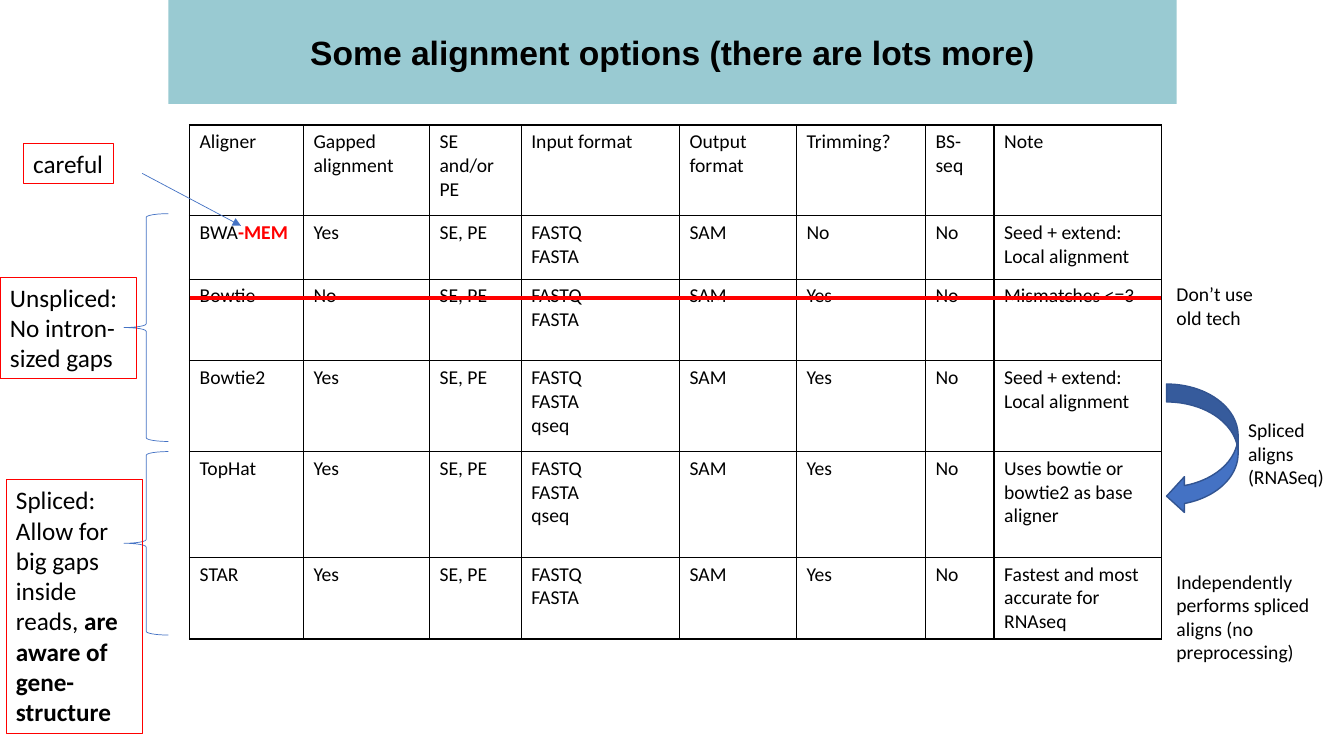
from lxml.etree import SubElement
from pptx import Presentation
from pptx.dml.color import RGBColor
from pptx.enum.shapes import MSO_CONNECTOR, MSO_SHAPE
from pptx.enum.text import MSO_ANCHOR, MSO_AUTO_SIZE, PP_ALIGN
from pptx.oxml.ns import qn
from pptx.util import Inches, Pt

COLORS = {"black": "000000", "red": "FF0000", "blue": "4472C4",
          "dark blue": "325491", "teal": "99CAD2"}

TITLE = "Some alignment options (there are lots more)"

# A text is a string, or a list of (string, format) spans; "\n" starts a paragraph.
ALIGNERS = [
    ["Aligner", "Gapped alignment", "SE and/or PE", "Input format",
     "Output format", "Trimming?", "BS-seq", "Note"],
    [[("BWA", {}), ("-MEM", {"bold": True, "color": "red"})], "Yes", "SE, PE",
     "FASTQ\nFASTA", "SAM", "No", "No", "Seed + extend:\nLocal alignment"],
    ["Bowtie", "No", "SE, PE", "FASTQ\nFASTA", "SAM", "Yes", "No", "Mismatches <=3"],
    ["Bowtie2", "Yes", "SE, PE", "FASTQ\nFASTA\nqseq", "SAM", "Yes", "No",
     "Seed + extend:\nLocal alignment"],
    ["TopHat", "Yes", "SE, PE", "FASTQ\nFASTA\nqseq", "SAM", "Yes", "No",
     "Uses bowtie or bowtie2 as base aligner"],
    ["STAR", "Yes", "SE, PE", "FASTQ\nFASTA", "SAM", "Yes", "No",
     "Fastest and most accurate for RNAseq"],
]
COLUMN_WIDTHS = [1.13, 1.25, 0.91, 1.57, 1.16, 1.28, 0.68, 1.66]
ROW_HEIGHTS = [0.9, 0.63, 0.81, 0.9, 1.05, 0.81]
TABLE_LEFT, TABLE_TOP = 1.88, 1.24

SIDE_NOTES = [
    ("Spliced aligns\n(RNASeq)", (12.28, 4.1, 1.05, 0.81)),
    ("Independently performs spliced aligns (no preprocessing)", (11.57, 5.6, 1.76, 1.04)),
    ("Don’t use old tech", (11.57, 2.75, 1.05, 0.57)),
]
BRACES = [(1.23, 4.48, 0.44, 1.82), (1.23, 2.12, 0.44, 2.26)]
RED_BOXES = [
    ("Unspliced:\nNo intron-sized gaps", (0, 2.75, 1.35, 1.01), True),
    ([("Spliced:\nAllow for big gaps inside reads, ", {}),
      ("are aware of gene-structure", {"bold": True})], (0.06, 4.76, 1.35, 2.52), True),
    ("careful", (0.23, 1.42, 0.9, 0.4), False),
]


def rgb(name):
    return RGBColor.from_string(COLORS[name])


def inches(lengths):
    return [Inches(length) for length in lengths]


def write(frame, text, size=14, font="Calibri", color="black", bold=False,
          align=PP_ALIGN.LEFT, anchor=MSO_ANCHOR.TOP):
    frame.vertical_anchor = anchor
    para = frame.paragraphs[0]
    para.alignment = align
    for words, changes in [(text, {})] if isinstance(text, str) else text:
        look = {"color": color, "bold": bold, **changes}
        for number, line in enumerate(words.split("\n")):
            if number:
                para = frame.add_paragraph()
                para.alignment = align
            span = para.add_run()
            span.text = line
            span.font.size, span.font.name = Pt(size), font
            span.font.bold = look["bold"]
            span.font.color.rgb = rgb(look["color"])


def add_shape(page, preset, place, line, width, fill=None):
    shape = page.shapes.add_shape(preset, *inches(place))
    shape.shadow.inherit = False
    if fill:
        shape.fill.solid()
        shape.fill.fore_color.rgb = rgb(fill)
    else:
        shape.fill.background()
    shape.line.color.rgb = rgb(line)
    shape.line.width = Pt(width)
    return shape


def add_line(page, start, end, color, width, arrow=False):
    line = page.shapes.add_connector(MSO_CONNECTOR.STRAIGHT, *inches(start + end))
    line.line.color.rgb = rgb(color)
    line.line.width = Pt(width)
    if arrow:
        SubElement(line.line._get_or_add_ln(), qn("a:tailEnd"), type="triangle")
    SubElement(line._element.spPr, qn("a:effectLst"))


def draw_borders(cell, width=1):
    properties = cell._tc.get_or_add_tcPr()
    for side in ("a:lnL", "a:lnR", "a:lnT", "a:lnB"):
        border = SubElement(properties, qn(side), w=str(Pt(width)))
        fill = SubElement(border, qn("a:solidFill"))
        SubElement(fill, qn("a:srgbClr"), val=COLORS["black"])


def add_aligner_table(page):
    table = page.shapes.add_table(
        len(ALIGNERS), len(COLUMN_WIDTHS),
        *inches((TABLE_LEFT, TABLE_TOP, sum(COLUMN_WIDTHS), sum(ROW_HEIGHTS)))).table
    table.first_row = table.horz_banding = False
    for column, width in zip(table.columns, COLUMN_WIDTHS):
        column.width = Inches(width)
    for row, height, texts in zip(table.rows, ROW_HEIGHTS, ALIGNERS):
        row.height = Inches(height)
        for cell, text in zip(row.cells, texts):
            write(cell.text_frame, text)
            draw_borders(cell)
            cell.fill.background()


def add_title(page):
    title = page.shapes.title
    title.left, title.top, title.width, title.height = inches((1.67, 0, 10, 1.03))
    title.fill.solid()
    title.fill.fore_color.rgb = rgb("teal")
    title.text_frame.auto_size = MSO_AUTO_SIZE.NONE
    write(title.text_frame, TITLE, size=24, font="Arial", bold=True,
          align=PP_ALIGN.CENTER, anchor=MSO_ANCHOR.MIDDLE)


def main():
    deck = Presentation()
    deck.slide_width, deck.slide_height = inches((13.33, 7.5))
    page = deck.slides.add_slide(deck.slide_layouts[5])

    add_title(page)
    add_aligner_table(page)
    add_line(page, (TABLE_LEFT, 2.96), (11.52, 2.96), "red", 3)
    add_shape(page, MSO_SHAPE.CURVED_LEFT_ARROW, (11.57, 3.81, 0.71, 1.29),
              "dark blue", 1, fill="blue")
    for text, place in SIDE_NOTES:
        note = page.shapes.add_textbox(*inches(place))
        note.text_frame.word_wrap = True
        note.text_frame.auto_size = MSO_AUTO_SIZE.SHAPE_TO_FIT_TEXT
        write(note.text_frame, text)
    for place in BRACES:
        add_shape(page, MSO_SHAPE.LEFT_BRACE, place, "blue", 0.5)
    for text, place, wraps in RED_BOXES:
        box = add_shape(page, MSO_SHAPE.RECTANGLE, place, "red", 0.75)
        box.text_frame.word_wrap = wraps
        box.text_frame.auto_size = MSO_AUTO_SIZE.SHAPE_TO_FIT_TEXT
        write(box.text_frame, text, size=18)
    add_line(page, (1.41, 1.72), (2.39, 2.24), "blue", 0.5, arrow=True)

    deck.save("out.pptx")


if __name__ == "__main__":
    main()
